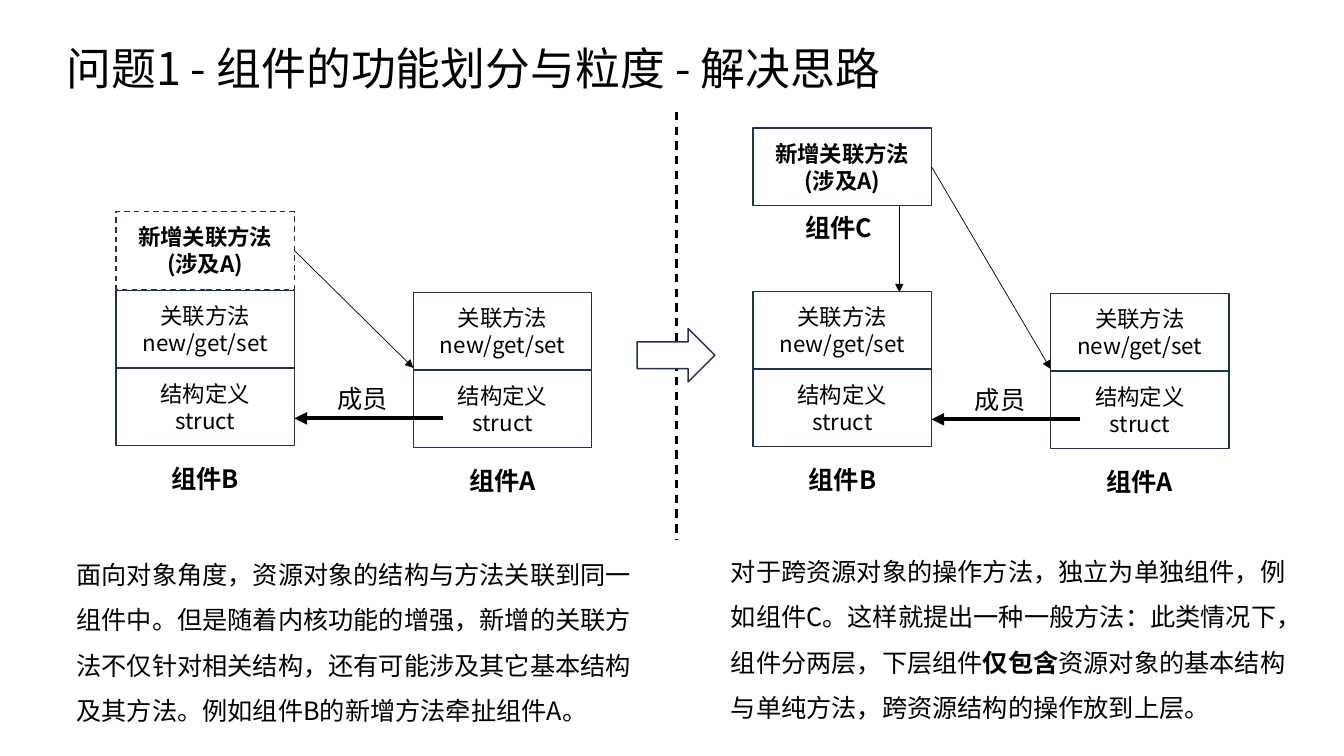
from lxml import etree
from pptx import Presentation
from pptx.dml.color import RGBColor
from pptx.enum.dml import MSO_LINE
from pptx.enum.shapes import MSO_CONNECTOR, MSO_SHAPE
from pptx.enum.text import MSO_ANCHOR, MSO_AUTO_SIZE, PP_ALIGN
from pptx.oxml.ns import qn
from pptx.util import Inches, Pt

STRAIGHT = MSO_CONNECTOR.STRAIGHT
RECTANGLE, RIGHT_ARROW = MSO_SHAPE.RECTANGLE, MSO_SHAPE.RIGHT_ARROW
DASH = MSO_LINE.DASH
LEFT, CENTER = PP_ALIGN.LEFT, PP_ALIGN.CENTER
MIDDLE = MSO_ANCHOR.MIDDLE
FIT = MSO_AUTO_SIZE.SHAPE_TO_FIT_TEXT
RIGHT_SIDE = 3

FONT = "Noto Sans CJK SC"
BLACK, WHITE, NAVY = "000000", "FFFFFF", "1E3256"
color = RGBColor.from_string

# Grid: two scenes, each with a B stack and an A stack of equal boxes
BOX_WIDTH, BOX_HEIGHT = 1.77, 0.77
COLUMN_STEP, ROW_SHIFT = 2.95, 0.02
LABEL_WIDTH, LABEL_HEIGHT = 1.18, 0.4
LABEL_INDENT = (BOX_WIDTH - LABEL_WIDTH) / 2
DIVIDER = 6.71

presentation = Presentation()
presentation.slide_width, presentation.slide_height = Inches(13.33), Inches(7.5)
slide = presentation.slides.add_slide(presentation.slide_layouts[6])
shapes = slide.shapes


def add_text(text, left, top, width, height, size=18, bold=False, align=LEFT,
             spacing=None, wrap=True, geometry=None, dash=None):
    """Add a text box or a preset shape; ** in the text switches bold."""
    area = [Inches(length) for length in (left, top, width, height)]
    if geometry is None:
        shape = shapes.add_textbox(*area)
        shape.text_frame.auto_size = FIT
    else:
        shape = shapes.add_shape(geometry, *area)
        shape.shadow.inherit = False
        shape.fill.solid()
        shape.fill.fore_color.rgb = color(WHITE)
        shape.line.color.rgb = color(NAVY)
        shape.line.width = Pt(1)
        shape.line.dash_style = dash
        shape.text_frame.vertical_anchor = MIDDLE
    frame = shape.text_frame
    frame.word_wrap = wrap
    for number, line in enumerate(text.split("\n") if text else []):
        paragraph = frame.add_paragraph() if number else frame.paragraphs[0]
        paragraph.alignment = align
        paragraph.line_spacing = spacing
        for part, words in enumerate(line.split("**")):
            run = paragraph.add_run()
            run.text = words
            run.font.name = FONT
            run.font.size = Pt(size)
            run.font.bold = bold or part % 2 == 1
            run.font.color.rgb = color(BLACK)
            east_asian = etree.SubElement(run.font._element, qn("a:ea"))
            east_asian.set("typeface", FONT)
    return shape


def add_line(start, end, width, arrow=True, dash=None):
    """Add a straight black line, with an arrowhead at its end if asked."""
    line = shapes.add_connector(STRAIGHT, *[Inches(length) for length in start + end])
    line.line.color.rgb = color(BLACK)
    line.line.width = Pt(width)
    line.line.dash_style = dash
    properties = line._element.spPr
    if arrow:
        etree.SubElement(properties.find(qn("a:ln")), qn("a:tailEnd"), type="triangle")
    etree.SubElement(properties, qn("a:effectLst"))
    return line


# Title
add_text("问题1 - 组件的功能划分与粒度 - 解决思路", 0.56, 0.36, 8.74, 0.64, size=32)

# Divider between the scenes
add_line((DIVIDER, 1.11), (DIVIDER, 5.35), 1.5, arrow=False, dash=DASH)

# Scenes: left edge, top of the B struct box, top and outline of the new method
for scene_left, struct_top, method_top, method_dash in (
    (1.15, 3.65, 2.1, DASH),
    (7.47, 3.66, 1.27, None),
):
    # Component stacks with their names
    for column, name in enumerate(("组件B", "组件A")):
        left = scene_left + column * COLUMN_STEP
        top = struct_top + column * ROW_SHIFT
        for row, text in enumerate(("结构定义\nstruct", "关联方法\nnew/get/set")):
            add_text(text, left, top - row * BOX_HEIGHT, BOX_WIDTH, BOX_HEIGHT,
                     size=16, align=CENTER, geometry=RECTANGLE)
        add_text(name, left + LABEL_INDENT, top + 0.9, LABEL_WIDTH, LABEL_HEIGHT,
                 bold=True, align=CENTER)

    # New method, pointing at component A
    method = add_text("新增关联方法\n(涉及A)", scene_left, method_top, BOX_WIDTH, BOX_HEIGHT,
                      size=16, bold=True, align=CENTER, geometry=RECTANGLE,
                      dash=method_dash)
    link = add_line((scene_left + BOX_WIDTH, method_top + BOX_HEIGHT / 2),
                    (scene_left + COLUMN_STEP, struct_top), 0.5)
    link.begin_connect(method, RIGHT_SIDE)

    # Membership of A in B
    member_y = struct_top + 0.5
    add_line((scene_left + COLUMN_STEP + LABEL_INDENT, member_y),
             (scene_left + BOX_WIDTH, member_y), 3)
    add_text("成员", scene_left + 2.1, struct_top + 0.1, 0.7, LABEL_HEIGHT, wrap=False)

# Component C: its name and its link down to component B
add_text("组件C", 7.73, 2.06, LABEL_WIDTH, LABEL_HEIGHT, bold=True, align=CENTER)
add_line((8.92, 2.04), (8.92, 2.9), 0.5)

# Arrow from the problem to the solution
add_text("", DIVIDER - 0.39, 3.26, 0.77, 0.53, geometry=RIGHT_ARROW)

# Explanations
add_text("面向对象角度，资源对象的结构与方法关联到同一组件中。但是随着内核功能的增强，"
         "新增的关联方法不仅针对相关结构，还有可能涉及其它基本结构及其方法。"
         "例如组件B的新增方法牵扯组件A。", 0.66, 5.35, 5.81, 1.87, spacing=1.5)
add_text("对于跨资源对象的操作方法，独立为单独组件，例如组件C。"
         "这样就提出一种一般方法：此类情况下，\n"
         "组件分两层，下层组件**仅包含**资源对象的基本结构与单纯方法，"
         "跨资源结构的操作放到上层。", 7.15, 5.32, 5.89, 1.87, spacing=1.5)

presentation.save("out.pptx")
